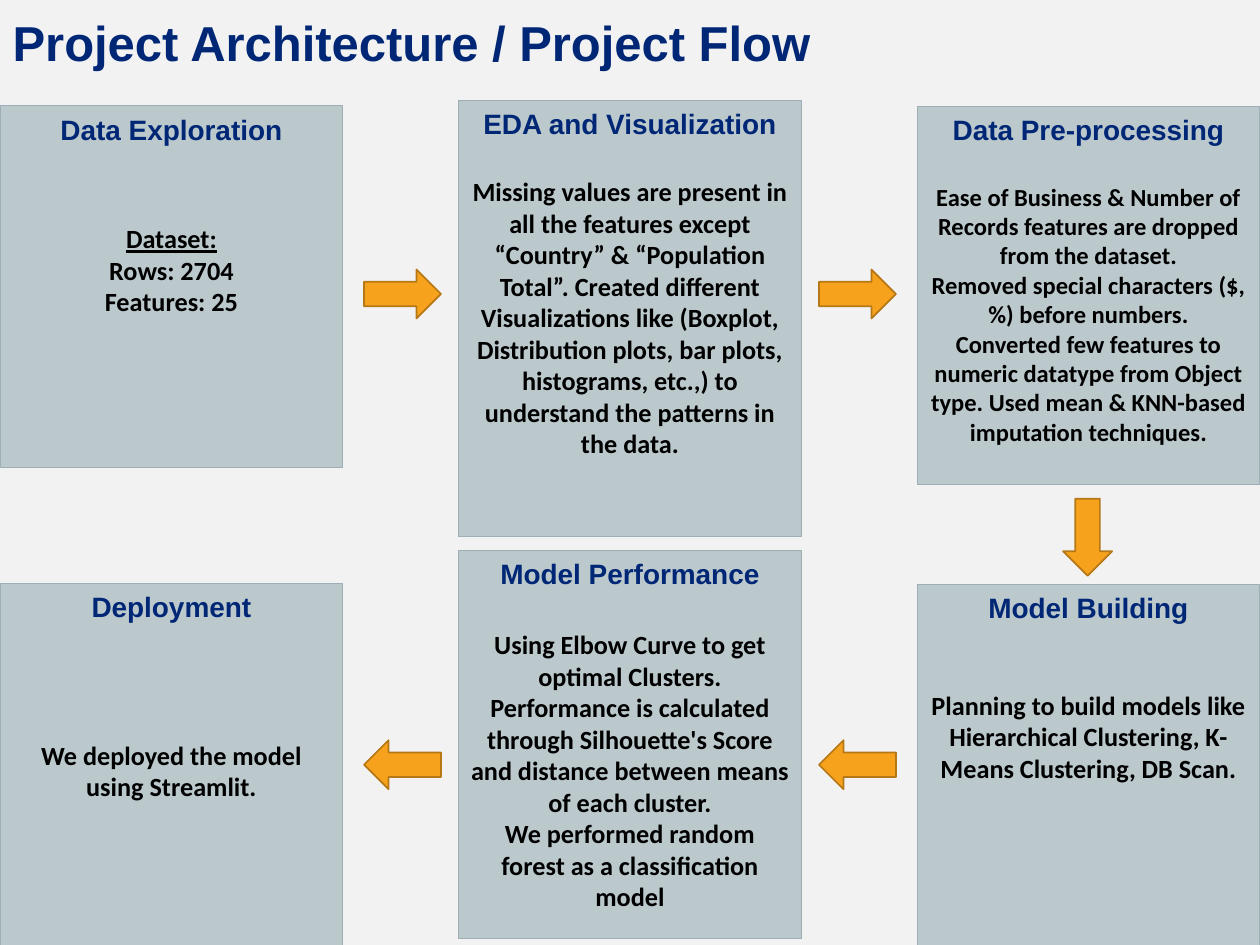
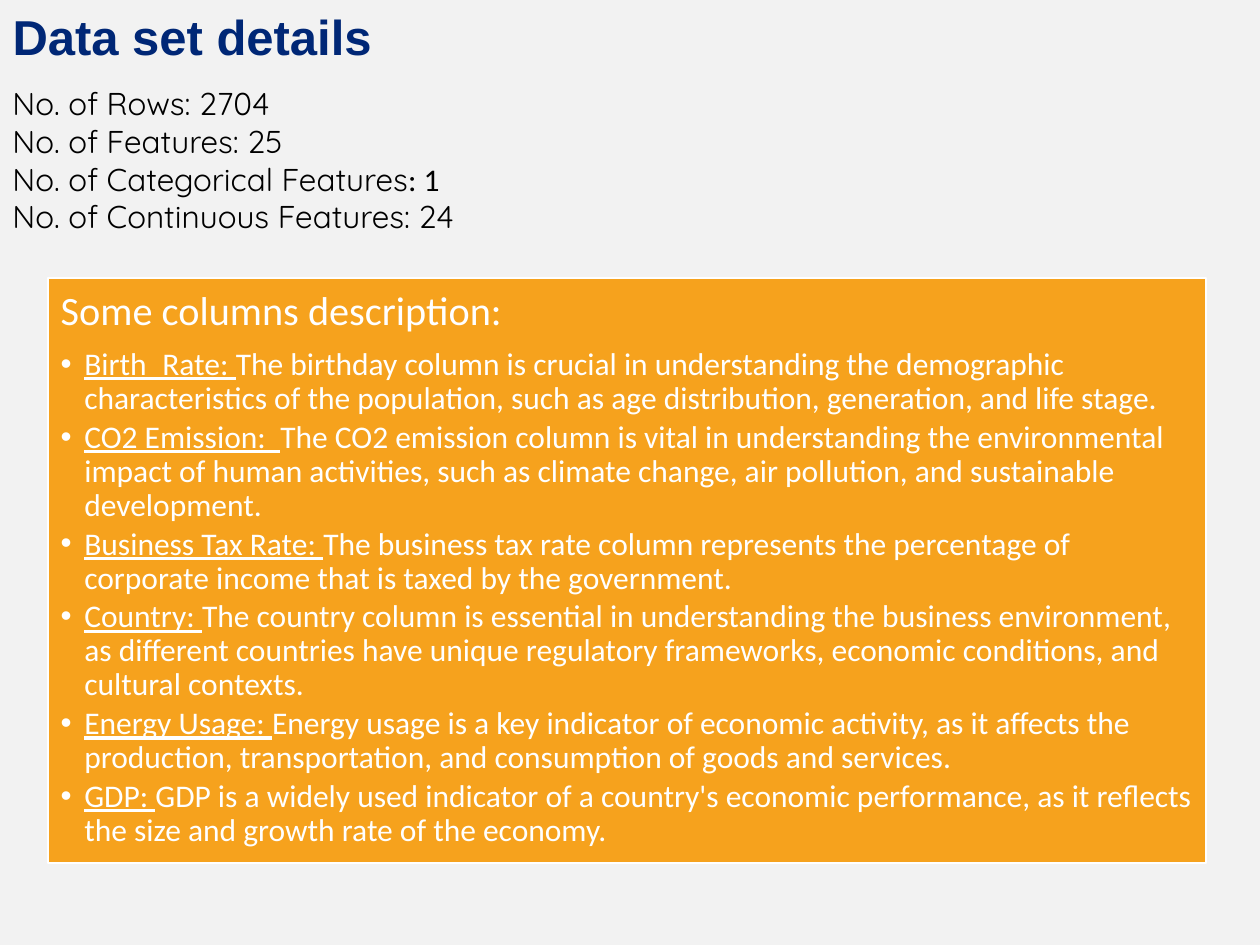
import pptx
import pptx.dml.color
import pptx.enum.shapes
import pptx.enum.text
import pptx.oxml.ns
import pptx.util
from lxml import etree

Pt = pptx.util.Pt
ALIGN = pptx.enum.text.PP_ALIGN
SHAPES = pptx.enum.shapes.MSO_SHAPE

PAPER, NAVY, ORANGE, ARROW_EDGE = "F2F2F2", "002776", "F6A21D", "B67815"
CARD_TOP, CARD_BOTTOM, CARD_EDGE = "BBC8CC", "B8C6CB", "9BAFB5"
BLACK, WHITE = "000000", "FFFFFF"
SLIDE_W, SLIDE_H = 720, 540
CARD_W = 196
COLUMNS = [column * (SLIDE_W - CARD_W) / 2 for column in range(3)]
ARROW_W, ARROW_H = 44, 28

STAGES = [
    ("Data Exploration", 0, 60.5, 206.5, 44, 15,
     [("Dataset:", {"underline": True}), "Rows: 2704", "Features: 25"]),
    ("EDA and Visualization", 1, 57.5, 249, 20, 15,
     ["Missing values are present in all the features except “Country” & “Population Total”. "
      "Created different Visualizations like (Boxplot, Distribution plots, bar plots, "
      "histograms, etc.,) to understand the patterns in the data."]),
    ("Data Pre-processing", 2, 61, 216, 20, 14,
     ["Ease of Business & Number of Records features are dropped from the dataset.",
      "Removed special characters ($, %) before numbers.",
      "Converted few features to numeric datatype from Object type. "
      "Used mean & KNN-based imputation techniques."]),
    ("Model Building", 2, 334, 206, 37, 15,
     ["Planning to build models like",
      "Hierarchical Clustering, K-Means Clustering, DB Scan."]),
    ("Model Performance", 1, 314.5, 222, 22, 15,
     ["Using Elbow Curve to get optimal Clusters.",
      "Performance is calculated through Silhouette's Score and distance between means "
      "of each cluster.",
      "We performed random forest as a classification model"]),
    ("Deployment", 0, 333.5, 206.5, 66, 15,
     ["We deployed the model using Streamlit."]),
]
FLOW = [(230, 168, 0), (490, 168, 0), (621.5, 307, 90), (490, 437, 180), (230, 437, 180)]

DESCRIPTIONS = [
    ("Birth_Rate: ",
     "The birthday column is crucial in understanding the demographic characteristics of the "
     "population, such as age distribution, generation, and life stage."),
    ("CO2 Emission:  ",
     "The CO2 emission column is vital in understanding the environmental impact of human "
     "activities, such as climate change, air pollution, and sustainable development."),
    ("Business Tax Rate: ",
     "The business tax rate column represents the percentage of corporate income that is taxed "
     "by the government."),
    ("Country: ",
     "The country column is essential in understanding the business environment, as different "
     "countries have unique regulatory frameworks, economic conditions, and cultural contexts."),
    ("Energy Usage: ",
     "Energy usage is a key indicator of economic activity, as it affects the production, "
     "transportation, and consumption of goods and services."),
    ("GDP: ",
     "GDP is a widely used indicator of a country's economic performance, as it reflects the "
     "size and growth rate of the economy."),
]


def rgb(code):
    """Turn a hex string into a colour."""
    return pptx.dml.color.RGBColor.from_string(code)


def prepare_frame(frame, inset_y=3.6):
    """Give a text frame its wrapping, anchor and insets."""
    frame.word_wrap = True
    frame.auto_size = pptx.enum.text.MSO_AUTO_SIZE.NONE
    frame.vertical_anchor = pptx.enum.text.MSO_ANCHOR.TOP
    frame.margin_left = frame.margin_right = Pt(7.2)
    frame.margin_top = frame.margin_bottom = Pt(inset_y)


def write(frame, *pieces, size=18, font="Calibri", color=BLACK, bold=False, underline=False,
          align=ALIGN.LEFT, before=0, after=0, spacing=1.0, bullet=False):
    """Write one paragraph of strings or (string, run format) pairs."""
    paragraph = frame.paragraphs[0]
    if paragraph.runs:
        paragraph = frame.add_paragraph()
    paragraph.alignment = align
    paragraph.line_spacing = spacing
    paragraph.space_before, paragraph.space_after = Pt(before), Pt(after)
    properties = paragraph._p.get_or_add_pPr()
    indent = Pt(13.5) if bullet else 0
    properties.set("marL", str(indent))
    properties.set("indent", str(-indent))
    mark = etree.SubElement(properties, pptx.oxml.ns.qn("a:buChar" if bullet else "a:buNone"))
    if bullet:
        mark.set("char", "•")
    for piece in pieces:
        words, special = (piece, {}) if isinstance(piece, str) else piece
        run = paragraph.add_run()
        run.text = words
        run.font.size = Pt(size)
        run.font.bold = bold
        run.font.name = special.get("font", font)
        run.font.underline = special.get("underline", underline)
        run.font.color.rgb = rgb(color)


def place(part, box):
    """Move a placeholder to a box of left, top, width and height."""
    part.left, part.top, part.width, part.height = map(Pt, box)


def add_title(slide, words, box):
    """Set the slide title in its placeholder."""
    place(slide.shapes.title, box)
    prepare_frame(slide.shapes.title.text_frame)
    write(slide.shapes.title.text_frame, words, size=28, font="Arial", color=NAVY, bold=True)


def add_preset(slide, kind, box, edge, edge_width):
    """Add an outlined preset shape without shadow."""
    preset = slide.shapes.add_shape(kind, *map(Pt, box))
    preset.shadow.inherit = False
    preset.line.color.rgb = rgb(edge)
    preset.line.width = Pt(edge_width)
    return preset


def add_stage(slide, box, heading, gap, size, lines):
    """Draw a project stage card with its heading and text."""
    card = add_preset(slide, SHAPES.RECTANGLE, box, CARD_EDGE, 0.5)
    card.fill.gradient()
    card.fill.gradient_angle = 270
    for stop, shade in zip(card.fill.gradient_stops, (CARD_TOP, CARD_BOTTOM)):
        stop.color.rgb = rgb(shade)
    prepare_frame(card.text_frame)
    write(card.text_frame, heading, size=16, font="Arial", color=NAVY, bold=True,
          align=ALIGN.CENTER)
    for index, line in enumerate(lines):
        write(card.text_frame, line, size=size, bold=True, align=ALIGN.CENTER,
              before=0 if index else gap)


def add_arrow(slide, center_x, center_y, turn):
    """Draw a flow arrow around its centre."""
    box = (center_x - ARROW_W / 2, center_y - ARROW_H / 2, ARROW_W, ARROW_H)
    arrow = add_preset(slide, SHAPES.RIGHT_ARROW, box, ARROW_EDGE, 1)
    arrow.fill.solid()
    arrow.fill.fore_color.rgb = rgb(ORANGE)
    arrow.rotation = turn


def add_counts(slide, box):
    """List the data set counts."""
    counts = slide.shapes.add_textbox(*map(Pt, box)).text_frame
    prepare_frame(counts)
    for pieces in (["No. of Rows: 2704"], ["No. of Features: 25"],
                   ["No. of Categorical Features", (": 1", {"font": "Calibri"})],
                   ["No. of Continuous Features: 24"]):
        write(counts, *pieces, font="Quicksand")


def add_descriptions(panel, box):
    """Fill the body placeholder with the column descriptions."""
    place(panel, box)
    panel.fill.solid()
    panel.fill.fore_color.rgb = rgb(ORANGE)
    panel.line.color.rgb = rgb(WHITE)
    panel.line.width = Pt(1)
    prepare_frame(panel.text_frame, inset_y=7.2)
    write(panel.text_frame, "Some columns description:", size=23, color=WHITE, spacing=0.9,
          after=8)
    for column, meaning in DESCRIPTIONS:
        write(panel.text_frame, (column, {"underline": True}), meaning, color=WHITE,
              spacing=0.9, after=2.7, bullet=True)


def build_flow_slide(deck):
    """Build the project flow slide."""
    slide = deck.slides.add_slide(deck.slide_layouts[5])
    add_title(slide, "Project Architecture / Project Flow", (0, 3.6, 483, 41))
    for heading, column, top, height, gap, size, lines in STAGES:
        add_stage(slide, (COLUMNS[column], top, CARD_W, height), heading, gap, size, lines)
    for step in FLOW:
        add_arrow(slide, *step)


def build_details_slide(deck):
    """Build the data set details slide."""
    slide = deck.slides.add_slide(deck.slide_layouts[1])
    add_title(slide, "Data set details", (0, 0, 238, 41))
    add_counts(slide, (0, 44.5, 426, 94.5))
    add_descriptions(slide.placeholders[1], (27.5, 159, 661.5, 334))


def main():
    """Build and save the deck."""
    deck = pptx.Presentation()
    deck.slide_width, deck.slide_height = Pt(SLIDE_W), Pt(SLIDE_H)
    paper = deck.slide_master.background.fill
    paper.solid()
    paper.fore_color.rgb = rgb(PAPER)
    build_flow_slide(deck)
    build_details_slide(deck)
    deck.save("out.pptx")


if __name__ == "__main__":
    main()
